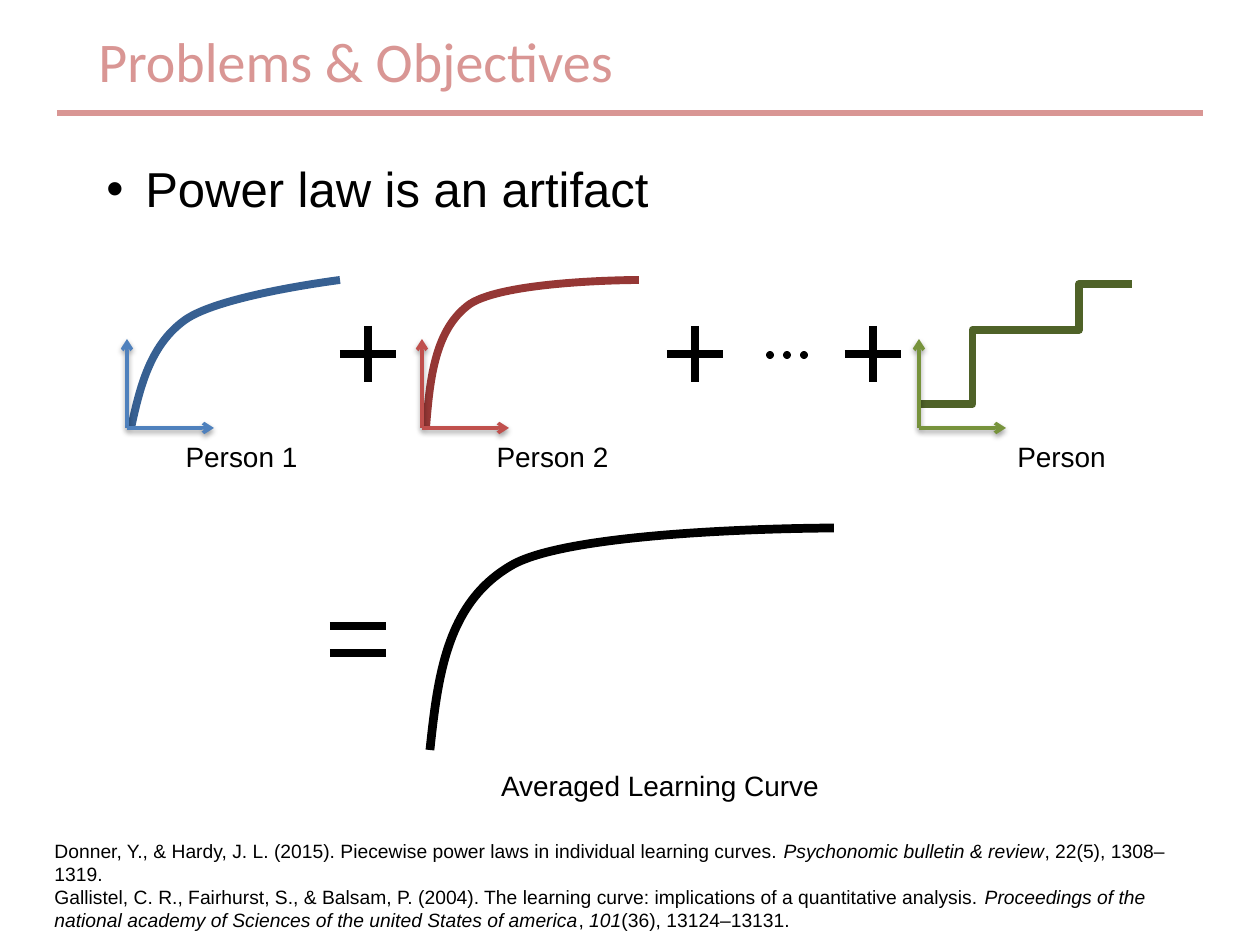
from dataclasses import dataclass

from lxml.etree import SubElement
from pptx import Presentation
from pptx.dml.color import RGBColor
from pptx.enum.shapes import MSO_CONNECTOR, MSO_SHAPE
from pptx.enum.text import MSO_ANCHOR, MSO_AUTO_SIZE, PP_ALIGN
from pptx.oxml.ns import qn
from pptx.util import Emu, Pt

EMU_PER_PIXEL = 914400 / 126


def px(length):
    return Emu(round(length * EMU_PER_PIXEL))


@dataclass(frozen=True)
class Theme:
    accent: str = "D99694"
    ink: str = "000000"
    blue_curve: str = "376092"
    blue_axis: str = "4F81BD"
    red_curve: str = "953735"
    red_axis: str = "C0504D"
    green_curve: str = "4F6228"
    green_axis: str = "77933C"
    heading_font: str = "Calibri"
    body_font: str = "Arial"
    title_size: int = 32
    bullet_size: int = 28
    label_size: int = 16
    reference_size: int = 11
    rule_width: float = 3
    axis_width: float = 2
    sign_width: float = 4.5
    average_width: float = 5


def add_formatted_run(paragraph, text, *, font, size, color, italic=False):
    run = paragraph.add_run()
    run.text = text
    run.font.name = font
    run.font.size = Pt(size)
    run.font.color.rgb = RGBColor.from_string(color)
    if italic:
        run.font.italic = True


class SlideBuilder:
    def __init__(self, slide, theme):
        self.slide = slide
        self.theme = theme

    def style_line(self, shape, color, width):
        shape.line.color.rgb = RGBColor.from_string(color)
        shape.line.width = Pt(width)

    def text(self, box, paragraphs, size, font=None, color=None, wrap=True,
             anchor=MSO_ANCHOR.TOP, align=PP_ALIGN.LEFT, spacing=None, bullet_indent=0):
        frame = self.slide.shapes.add_textbox(*map(px, box)).text_frame
        frame.word_wrap = wrap
        frame.auto_size = MSO_AUTO_SIZE.SHAPE_TO_FIT_TEXT
        frame.vertical_anchor = anchor
        for index, runs in enumerate(paragraphs):
            paragraph = frame.add_paragraph() if index else frame.paragraphs[0]
            paragraph.alignment = align
            if spacing:
                paragraph.line_spacing = spacing
            if bullet_indent:
                properties = paragraph._p.get_or_add_pPr()
                properties.set("marL", str(px(bullet_indent)))
                properties.set("indent", str(-px(bullet_indent)))
                SubElement(properties, qn("a:buFont"), typeface="Arial")
                SubElement(properties, qn("a:buChar"), char="•")
            for content, italic in runs:
                add_formatted_run(paragraph, content, font=font or self.theme.body_font,
                                  size=size, color=color or self.theme.ink, italic=italic)

    def label(self, box, content, spacing=None):
        self.text(box, [[(content, False)]], self.theme.label_size,
                  anchor=MSO_ANCHOR.MIDDLE, align=PP_ALIGN.CENTER, spacing=spacing)

    def line(self, start, end, color, width, kind=MSO_CONNECTOR.STRAIGHT, arrow=False):
        connector = self.slide.shapes.add_connector(kind, *map(px, (*start, *end)))
        self.style_line(connector, color, width)
        if arrow:
            SubElement(connector.line._get_or_add_ln(), qn("a:tailEnd"), type="arrow")
        else:
            SubElement(connector._element.spPr, qn("a:effectLst"))

    def curve(self, start, controls, color, width):
        builder = self.slide.shapes.build_freeform(*start, scale=EMU_PER_PIXEL)
        builder.add_line_segments(controls, close=False)
        shape = builder.convert_to_shape()
        segments = list(shape._element.iter(qn("a:lnTo")))
        for first in range(0, len(segments), 3):
            outline = segments[first].getparent()
            bezier = SubElement(outline, qn("a:cubicBezTo"))
            for segment in segments[first:first + 3]:
                bezier.append(segment[0])
                outline.remove(segment)
        shape.fill.background()
        shape.shadow.inherit = False
        self.style_line(shape, color, width)

    def steps(self, points, color):
        for start, end in zip(points, points[1:]):
            self.line(start, end, color, self.theme.sign_width, MSO_CONNECTOR.ELBOW)

    def axes(self, left, bottom, color):
        for end in ((left, bottom - 89), (left + 87, bottom)):
            self.line((left, bottom), end, color, self.theme.axis_width, arrow=True)

    def plus(self, x, y, arm=28):
        for across, down in ((arm, 0), (0, arm)):
            self.line((x - across, y - down), (x + across, y + down),
                      self.theme.ink, self.theme.sign_width)

    def equals(self, left, tops, length=56):
        for top in tops:
            self.line((left, top), (left + length, top), self.theme.ink, self.theme.sign_width)

    def dot(self, left, top, size=8):
        shape = self.slide.shapes.add_shape(MSO_SHAPE.OVAL, *map(px, (left, top, size, size)))
        shape.fill.solid()
        shape.fill.fore_color.rgb = RGBColor.from_string(self.theme.ink)
        shape.line.fill.background()
        shape.shadow.inherit = False


def main():
    presentation = Presentation()
    presentation.slide_width = px(1260)
    presentation.slide_height = px(945)
    theme = Theme()
    builder = SlideBuilder(presentation.slides.add_slide(presentation.slide_layouts[6]), theme)

    builder.line((57, 113), (1203, 113), theme.accent, theme.rule_width)
    builder.text((86, 20, 547, 81), [[("Problems & Objectives", False)]], theme.title_size,
                 font=theme.heading_font, color=theme.accent, wrap=False)
    builder.text((94, 125, 601, 97), [[("Power law is an artifact", False)]], theme.bullet_size,
                 anchor=MSO_ANCHOR.MIDDLE, spacing=1.5, bullet_indent=39)

    builder.curve((430, 750), [(438, 675), (447, 601), (514, 564),
                               (582, 528), (834, 528), (834, 528)],
                  theme.ink, theme.average_width)
    builder.equals(330, (626, 653))
    builder.label((485, 762, 350, 47), "Averaged Learning Curve")

    builder.curve((131, 428), [(140, 387), (150, 345), (185, 320),
                               (220, 295), (340, 280), (340, 280)],
                  theme.blue_curve, theme.sign_width)
    builder.curve((426, 428), [(430, 378), (435, 329), (470, 304),
                               (507, 280), (639, 280), (639, 280)],
                  theme.red_curve, theme.sign_width)
    builder.steps([(919, 404), (1026, 330), (1132, 284)], theme.green_curve)
    for x in (368, 695, 873):
        builder.plus(x, 354)
    for index in range(3):
        builder.dot(766 + 17 * index, 351)
    for left, name in ((164, "Person 1"), (475, "Person 2"), (984, "Person")):
        builder.label((left, 418, 155, 60), name, spacing=1.5)
    for left, color in ((127, theme.blue_axis), (422, theme.red_axis), (919, theme.green_axis)):
        builder.axes(left, 428, color)

    references = [
        [("Donner, Y., & Hardy, J. L. (2015). Piecewise power laws in individual "
          "learning curves. ", False),
         ("Psychonomic bulletin & review", True),
         (", 22(5), 1308–1319.", False)],
        [("Gallistel, C. R., Fairhurst, S., & Balsam, P. (2004). The learning curve: "
          "implications of a quantitative analysis. ", False),
         ("Proceedings of the national academy of Sciences of the united States "
          "of america", True),
         (", ", False), ("101", True), ("(36), 13124–13131.", False)],
    ]
    builder.text((42, 833, 1176, 106), references, theme.reference_size)
    presentation.save("out.pptx")


if __name__ == "__main__":
    main()
